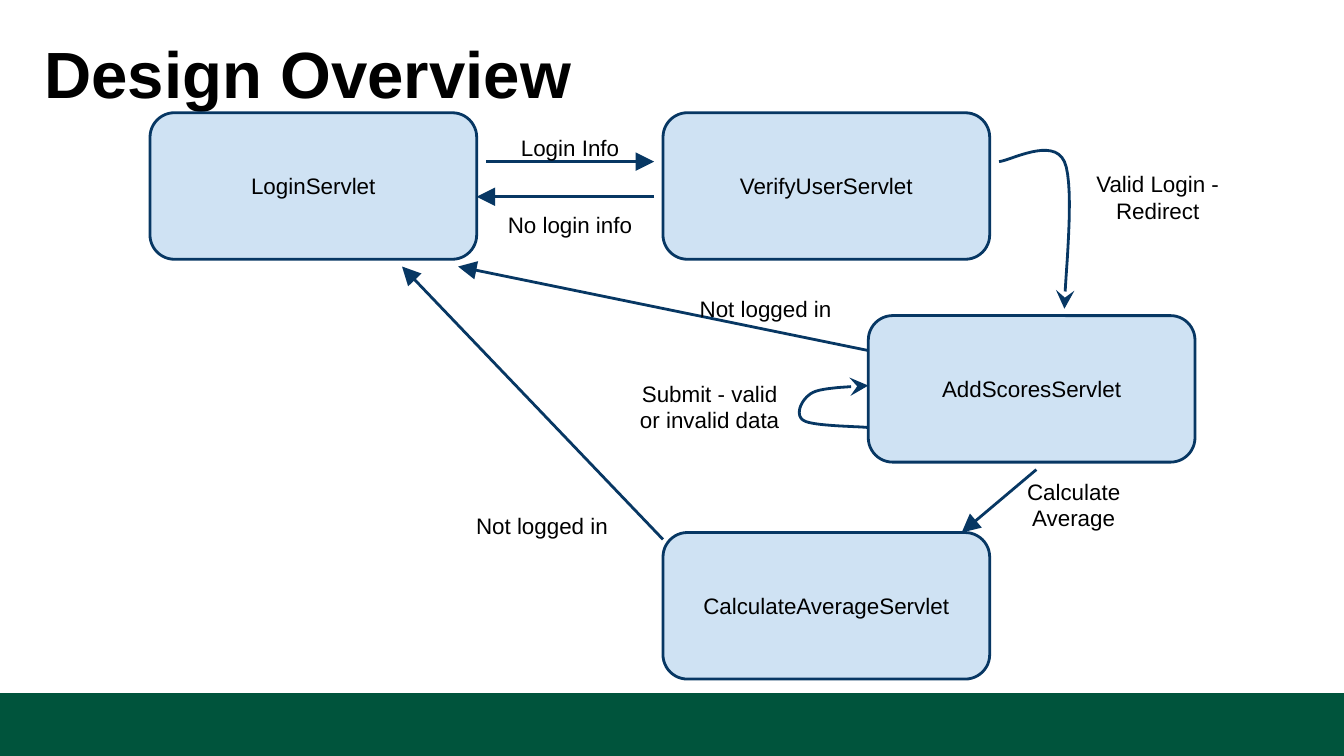
from dataclasses import dataclass

from lxml.etree import SubElement as Sub
from pptx import Presentation as Deck
from pptx.dml.color import RGBColor as Rgb
from pptx.enum.shapes import MSO_CONNECTOR as Link
from pptx.enum.shapes import MSO_SHAPE as Kind
from pptx.enum.text import MSO_ANCHOR as Anchor
from pptx.enum.text import PP_ALIGN as Align
from pptx.oxml.ns import qn
from pptx.util import Pt

Point = tuple[float, float]

HUES = {"bar": "00543C", "box": "CFE2F3", "line": "073763", "text": "000000"}
FONT = "Arial"
BOX = (175, 78.5)
LABEL = (90, 22.5)
STEPS = 16


@dataclass
class Node:
    name: str
    x: float
    y: float


@dataclass
class Arrow:
    start: Point
    end: Point


@dataclass
class Curve:
    start: Point
    bends: list[tuple[Point, Point, Point]]


@dataclass
class Label:
    text: str
    x: float
    y: float


NODES = [
    Node("LoginServlet", 80.4, 60.4),
    Node("VerifyUserServlet", 355.2, 60.4),
    Node("AddScoresServlet", 465.2, 169.1),
    Node("CalculateAverageServlet", 355.2, 285.3),
]
ARROWS = [
    Arrow((260.4, 86.6), (350.4, 86.6)),
    Arrow((350.4, 105.4), (255.4, 105.4)),
    Arrow((465.2, 187.8), (245.4, 142.8)),
    Arrow((555.2, 251.6), (515.2, 285.3)),
    Arrow((355.2, 289), (215.4, 142.8)),
]
CURVES = [
    Curve((535.2, 86.6), [
        ((541.2, 86.1), (564.2, 73.2), (570.2, 86.6)),
        ((576.2, 99.8), (570.2, 152.1), (570.2, 165.4)),
    ]),
    Curve((465.2, 229.1), [
        ((459.5, 228.4), (435.5, 228.4), (430.5, 225.3)),
        ((425.5, 222.2), (429.5, 213.5), (435.3, 210.4)),
        ((441.1, 207.3), (460.2, 207.2), (465.2, 206.6)),
    ]),
]
LABELS = [
    Label("Login Info", 260.4, 67.9),
    Label("No login info", 260.4, 109.1),
    Label("Valid Login - Redirect", 575.2, 94.5),
    Label("Not logged in", 365.2, 154.1),
    Label("Submit - valid or invalid data", 335.2, 206.6),
    Label("Calculate Average", 530.2, 259.1),
    Label("Not logged in", 245.4, 270.4),
]


def hue(name: str) -> Rgb:
    return Rgb.from_string(HUES[name])


def write(shape, text: str, size: float = 12, bold: bool = False,
          inset: float = 7.2, align=Align.CENTER, anchor=Anchor.MIDDLE) -> None:
    frame = shape.text_frame
    frame.text = text
    frame.word_wrap = True
    frame.vertical_anchor = anchor
    frame.margin_left = frame.margin_right = Pt(inset)
    frame.margin_top = frame.margin_bottom = Pt(inset)
    para = frame.paragraphs[0]
    para.alignment = align
    font = para.runs[0].font
    font.name, font.size, font.bold = FONT, Pt(size), bold
    font.color.rgb = hue("text")


def stroke(shape, head: str = "") -> None:
    shape.line.color.rgb = hue("line")
    shape.line.width = Pt(1.5)
    if head:
        line = shape._element.spPr.find(qn("a:ln"))
        Sub(line, qn("a:tailEnd"), type=head, w="lg", len="lg")


def draw_node(slide, node: Node) -> None:
    box = slide.shapes.add_shape(
        Kind.ROUNDED_RECTANGLE, Pt(node.x), Pt(node.y), *map(Pt, BOX))
    box.shadow.inherit = False
    box.fill.solid()
    box.fill.fore_color.rgb = hue("box")
    stroke(box)
    write(box, node.name)


def draw_arrow(slide, arrow: Arrow) -> None:
    link = slide.shapes.add_connector(
        Link.STRAIGHT, *map(Pt, arrow.start + arrow.end))
    stroke(link, "triangle")
    Sub(link._element.spPr, qn("a:effectLst"))


def trace(curve: Curve) -> list[Point]:
    """Points along the joined cubic Bezier bends."""
    dots, a = [], curve.start
    for b, c, d in curve.bends:
        for step in range(1, STEPS + 1):
            t = step / STEPS
            u = 1 - t
            dots.append(tuple(
                u**3 * p + 3 * u * u * t * q + 3 * u * t * t * r + t**3 * s
                for p, q, r, s in zip(a, b, c, d)))
        a = d
    return dots


def draw_curve(slide, curve: Curve) -> None:
    pen = slide.shapes.build_freeform(*map(Pt, curve.start))
    pen.add_line_segments(
        [(Pt(x), Pt(y)) for x, y in trace(curve)], close=False)
    shape = pen.convert_to_shape()
    shape.shadow.inherit = False
    shape.fill.background()
    stroke(shape, "stealth")


def draw_label(slide, label: Label) -> None:
    box = slide.shapes.add_textbox(Pt(label.x), Pt(label.y), *map(Pt, LABEL))
    write(box, label.text)


def main() -> None:
    deck = Deck()
    deck.slide_width, deck.slide_height = Pt(720), Pt(405)
    slide = deck.slides.add_slide(deck.slide_layouts[6])

    # Footer bar
    bar = slide.shapes.add_shape(
        Kind.RECTANGLE, Pt(0), Pt(371.3), Pt(720), Pt(33.7))
    bar.shadow.inherit = False
    bar.fill.solid()
    bar.fill.fore_color.rgb = hue("bar")
    bar.line.fill.background()

    # Title
    title = slide.shapes.add_textbox(Pt(21.6), Pt(15.8), Pt(682.6), Pt(69.8))
    write(title, "Design Overview", 35, True, 2.2, Align.LEFT, Anchor.TOP)

    # Servlets, the moves between them, and their labels
    for draw, items in ((draw_node, NODES), (draw_arrow, ARROWS),
                        (draw_curve, CURVES), (draw_label, LABELS)):
        for item in items:
            draw(slide, item)

    deck.save("out.pptx")


if __name__ == "__main__":
    main()
